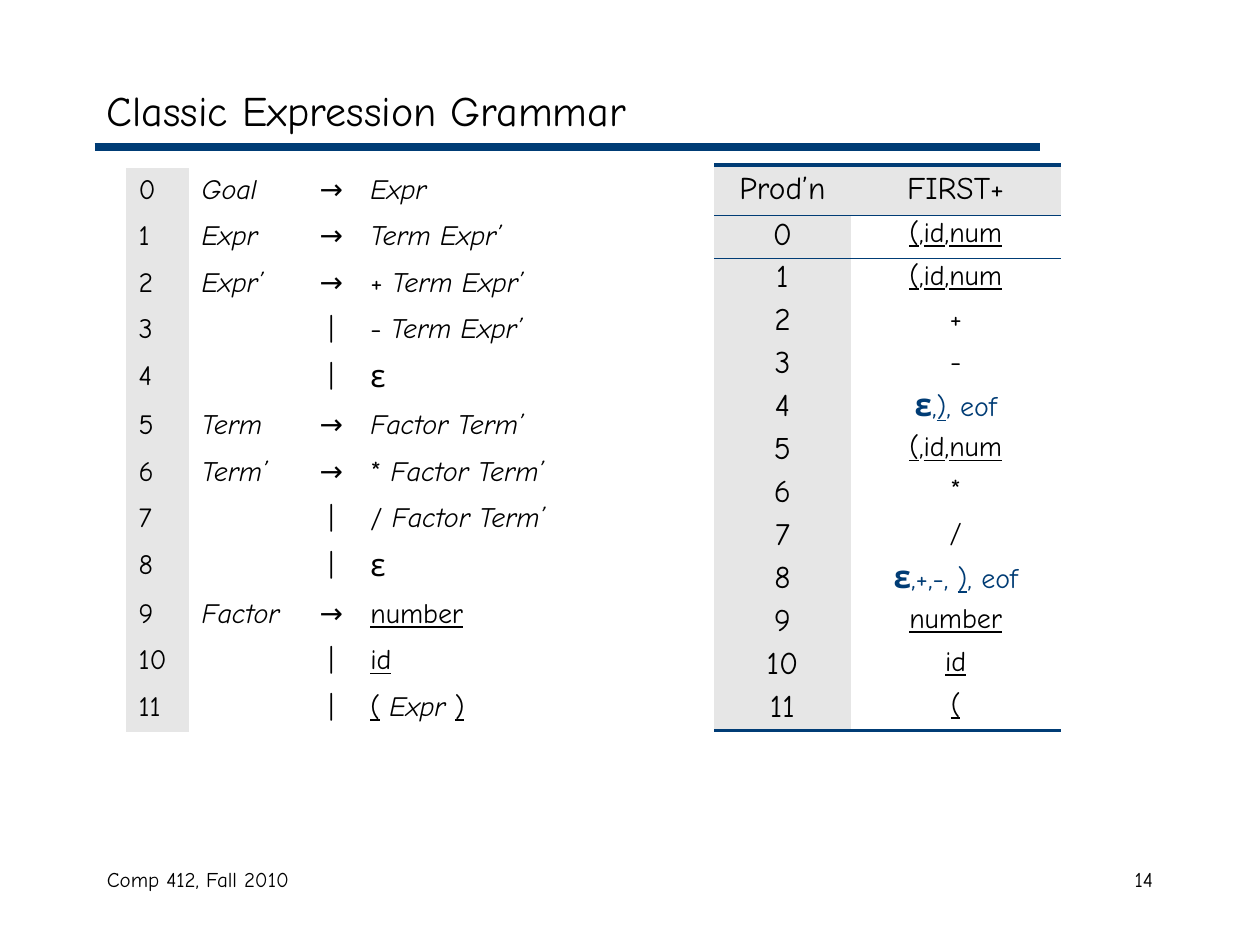
from lxml import etree
from pptx import Presentation
from pptx.dml.color import RGBColor
from pptx.enum.shapes import MSO_CONNECTOR
from pptx.enum.text import MSO_ANCHOR, PP_ALIGN
from pptx.oxml.ns import qn
from pptx.util import Inches, Pt

LEFT, CENTER, RIGHT = PP_ALIGN.LEFT, PP_ALIGN.CENTER, PP_ALIGN.RIGHT
MIDDLE = MSO_ANCHOR.MIDDLE
STRAIGHT = MSO_CONNECTOR.STRAIGHT

FONT = "Comic Neue"
COLORS = {"ink": "000000", "navy": "003C75", "gray": "E6E6E6"}
PLAIN_TABLE = "{2D5ABB26-0587-4C30-8999-92F81FD0307C}"

# Each right-hand side or set is a list of (text, style): i, u, b as usual
EPSILON = [("ε", "")]
START = [("(", "u"), (",", ""), ("id", "u"), (",", ""), ("num", "u")]

# Left-hand side, right-hand side; an empty left-hand side is an alternative
PRODUCTIONS = [
    ("Goal", [("Expr", "i")]),
    ("Expr", [("Term Expr’", "i")]),
    ("Expr’", [("+ ", ""), ("Term Expr’", "i")]),
    ("", [("- ", ""), ("Term Expr’", "i")]),
    ("", EPSILON),
    ("Term", [("Factor Term’", "i")]),
    ("Term’", [("* ", ""), ("Factor Term’", "i")]),
    ("", [("/ ", ""), ("Factor Term’", "i")]),
    ("", EPSILON),
    ("Factor", [("number", "u")]),
    ("", [("id", "u")]),
    ("", [("(", "u"), (" ", ""), ("Expr ", "i"), (")", "u")]),
]

FIRST_SETS = [
    START,
    START,
    [("+", "")],
    [("-", "")],
    [("ε", "b"), (",", ""), (")", "u"), (", eof", "")],
    START,
    [("*", "")],
    [("/", "")],
    [("ε", "b"), (",+,-, ", ""), (")", "u"), (", eof", "")],
    [("number", "u")],
    [("id", "u")],
    [("(", "u")],
]


def rgb(name):
    return RGBColor.from_string(COLORS[name])


def add_spans(para, spans, size, color="ink", align=LEFT):
    para.alignment = align
    for text, style in spans:
        span = para.add_run()
        span.text = text
        font = span.font
        font.name = FONT
        font.size = Pt(18 if text == "ε" else size)
        font.color.rgb = rgb(color)
        font.italic = "i" in style
        font.underline = "u" in style
        font.bold = "b" in style


def add_label(page, box, text, size, align=LEFT, anchor=None):
    frame = page.shapes.add_textbox(*map(Inches, box)).text_frame
    frame.word_wrap = True
    if anchor is not None:
        frame.vertical_anchor = anchor
    add_spans(frame.paragraphs[0], [(text, "")], size, align=align)


def add_plain_table(page, left, top, widths, heights):
    table = page.shapes.add_table(
        len(heights), len(widths), Inches(left), Inches(top),
        Inches(sum(widths)), Inches(sum(heights))).table
    table.first_row = table.horz_banding = False
    table._tbl.tblPr.find(qn("a:tableStyleId")).text = PLAIN_TABLE
    for column, width in zip(table.columns, widths):
        column.width = Inches(width)
    for row, height in zip(table.rows, heights):
        row.height = Inches(height)
    return table


def fill_cell(cell, spans, size, color="ink", align=LEFT, shaded=False):
    if shaded:
        cell.fill.solid()
        cell.fill.fore_color.rgb = rgb("gray")
    else:
        cell.fill.background()
    if spans:
        add_spans(cell.text_frame.paragraphs[0], spans, size, color, align)
    else:
        # Keeps an empty line from stretching its row
        cell.margin_top = cell.margin_bottom = 0


def add_border(cell, side, width):
    line = etree.SubElement(cell._tc.get_or_add_tcPr(), qn(f"a:{side}"),
                            w=str(Pt(width)))
    fill = etree.SubElement(line, qn("a:solidFill"))
    etree.SubElement(fill, qn("a:srgbClr"), val=COLORS["navy"])


def add_heading(page, left, top, width):
    add_label(page, (left, top, width, 0.58), "Classic Expression Grammar",
              24, anchor=MIDDLE)
    rule_y = Inches(top + 0.59)
    rule = page.shapes.add_connector(STRAIGHT, Inches(left), rule_y,
                                     Inches(left + 7.5), rule_y)
    rule.line.color.rgb = rgb("navy")
    rule.line.width = Pt(4.5)
    etree.SubElement(rule._element.spPr, qn("a:effectLst"))


def add_grammar(page, left, top):
    heights = [0.39 if right == EPSILON else 0.37 for _, right in PRODUCTIONS]
    table = add_plain_table(page, left, top, [0.5, 0.92, 0.42, 1.75], heights)
    for number, (name, right) in enumerate(PRODUCTIONS):
        cells = table.rows[number].cells
        fill_cell(cells[0], [(str(number), "")], 16, shaded=True)
        fill_cell(cells[1], [(name, "i")] if name else [], 16)
        fill_cell(cells[2], [("→" if name else "|", "")], 16, align=CENTER)
        fill_cell(cells[3], right, 16)
        if right == EPSILON:
            cells[3].text_frame.paragraphs[0].line_spacing = 0.95


def add_first_sets(page, left, top):
    last = len(FIRST_SETS)
    table = add_plain_table(page, left, top, [1.08, 1.67],
                            [0.4] + [0.34] * last)
    # Rules above and below the header, and under the last row
    for column in range(2):
        add_border(table.cell(0, column), "lnT", 2.25)
        add_border(table.cell(0, column), "lnB", 1)
        add_border(table.cell(1, column), "lnT", 1)
        add_border(table.cell(last, column), "lnB", 2.25)
    for column, title in enumerate(("Prod’n", "FIRST+")):
        fill_cell(table.cell(0, column), [(title, "")], 18,
                  align=CENTER, shaded=True)
    for number, symbols in enumerate(FIRST_SETS):
        cells = table.rows[number + 1].cells
        color = "navy" if symbols[0][0] == "ε" else "ink"
        fill_cell(cells[0], [(str(number), "")], 18, align=CENTER, shaded=True)
        fill_cell(cells[1], symbols, 16, color, CENTER)
        for cell in cells:
            cell.text_frame.paragraphs[0].line_spacing = 0.8


def add_footer(page, left, top, width):
    add_label(page, (left, top, 3.17, 0.5), "Comp 412, Fall 2010", 12)
    add_label(page, (left + width - 2.08, top, 2.08, 0.5), "14", 12, RIGHT)


def main():
    deck = Presentation()
    deck.slide_width, deck.slide_height = Inches(10), Inches(7.5)
    page = deck.slides.add_slide(deck.slide_layouts[6])
    add_heading(page, 0.75, 0.58, 8.5)
    add_footer(page, 0.75, 6.83, 8.5)
    add_first_sets(page, 5.67, 1.31)
    add_grammar(page, 1, 1.33)
    deck.save("out.pptx")


if __name__ == "__main__":
    main()
